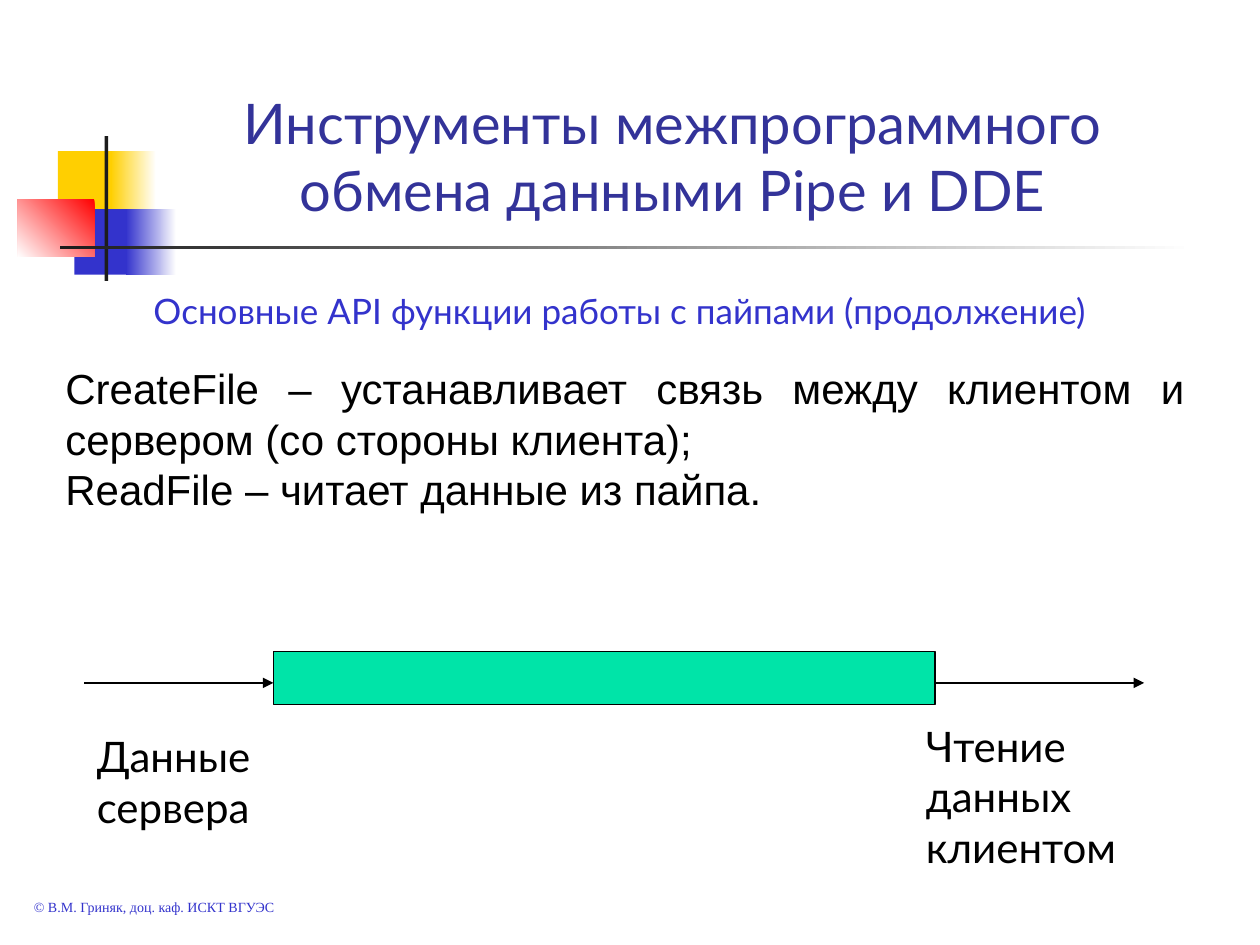
from lxml import etree
from pptx import Presentation
from pptx.dml.color import RGBColor
from pptx.enum import shapes, text
from pptx.oxml.ns import qn
from pptx.util import Inches, Pt

COLORS = {"yellow": "FFCF01", "blue": "3333CC", "red": "FF0000", "white": "FFFFFF",
          "dark": "1C1C1C", "title": "333399", "black": "000000", "pipe": "00E4A8"}
ALIGN = text.PP_ALIGN


def rgb(name):
    """Return the named colour."""
    return RGBColor.from_string(COLORS[name])


def add_block(s, box, fill, fade_to=None, angle=180, outlined=False):
    """Add a rectangle, solid or fading between two colours."""
    sp = s.shapes.add_shape(shapes.MSO_SHAPE.RECTANGLE, *map(Inches, box))
    sp.shadow.inherit = False
    if fade_to:
        sp.fill.gradient()
        sp.fill.gradient_angle = angle
        for stop, name in zip(sp.fill.gradient_stops, (fill, fade_to)):
            stop.color.rgb = rgb(name)
    else:
        sp.fill.solid()
        sp.fill.fore_color.rgb = rgb(fill)
    if outlined:
        sp.line.color.rgb = rgb("black")
        sp.line.width = Pt(0.75)
    else:
        sp.line.fill.background()


def add_text(s, box, lines, size, color="black", font="Lato", align=ALIGN.LEFT,
             anchor=text.MSO_ANCHOR.TOP):
    """Add a wrapped text box with one paragraph per line."""
    tf = s.shapes.add_textbox(*map(Inches, box)).text_frame
    tf.word_wrap = True
    tf.vertical_anchor = anchor
    tf.text = "\n".join(lines)
    for p in tf.paragraphs:
        p.alignment = align
        p.font.size = Pt(size)
        p.font.name = font
        p.font.color.rgb = rgb(color)


def add_arrow(s, x1, x2, y):
    """Add a horizontal arrow pointing right."""
    c = s.shapes.add_connector(shapes.MSO_CONNECTOR.STRAIGHT,
                               Inches(x1), Inches(y), Inches(x2), Inches(y))
    c.line.color.rgb = rgb("black")
    c.line.width = Pt(0.75)
    etree.SubElement(c.line._get_or_add_ln(), qn("a:tailEnd"), type="triangle")
    etree.SubElement(c._element.spPr, qn("a:effectLst"))


def add_ornament(s, x, y, width):
    """Draw the coloured squares and crossed bars beside the title."""
    add_block(s, (x + 0.32, y + 0.12, 0.48, 0.52), "yellow")
    add_block(s, (x + 0.74, y + 0.12, 0.36, 0.52), "white", "yellow")
    add_block(s, (x + 0.45, y + 0.58, 0.46, 0.52), "blue")
    add_block(s, (x + 0.86, y + 0.58, 0.4, 0.52), "white", "blue")
    add_block(s, (x, y + 0.5, 0.61, 0.46), "red", "white", angle=225)
    add_block(s, (x + 0.69, y, 0.03, 1.15), "dark")
    add_block(s, (x + 0.34, y + 0.87, width - 0.34, 0.03), "white", "dark")


def add_pipe_diagram(s, x, y, width):
    """Draw the pipe with its incoming and outgoing data."""
    left, right, axis = x + 1.5, x + 6.75, y + 0.25
    add_block(s, (left, y, right - left, 0.42), "pipe", outlined=True)
    add_arrow(s, x, left, axis)
    add_arrow(s, right, x + width, axis)
    add_text(s, (x, y + 0.58, 1.5, 1.3), ["Данные сервера"], 24)
    add_text(s, (x + 6.58, y + 0.5, 1.92, 1.3), ["Чтение данных клиентом"], 24)


def build_slide(prs):
    """Add the slide on pipe functions."""
    s = prs.slides.add_slide(prs.slide_layouts[6])
    add_ornament(s, 0.14, 1.08, 9.34)
    add_text(s, (1.08, 0.58, 8.52, 1.24),
             ["Инструменты межпрограммного обмена данными Pipe и DDE"], 32, "title",
             align=ALIGN.CENTER, anchor=text.MSO_ANCHOR.BOTTOM)
    add_text(s, (0.33, 2.25, 9.25, 0.44),
             ["Основные API функции работы с пайпами (продолжение) "], 20, "blue",
             align=ALIGN.CENTER)
    add_text(s, (0.42, 2.83, 9.08, 1.3),
             ["CreateFile – устанавливает связь между клиентом и сервером "
              "(со стороны клиента);",
              "ReadFile – читает данные из пайпа."], 24, font="Arial",
             align=ALIGN.JUSTIFY)
    add_pipe_diagram(s, 0.67, 5.17, 8.41)
    add_text(s, (0.17, 7.08, 2.67, 0.24), ["© В.М. Гриняк, доц. каф. ИСКТ ВГУЭС"], 8,
             "blue", "Times New Roman")


def main():
    """Build and save the presentation."""
    prs = Presentation()
    prs.slide_width, prs.slide_height = Inches(10), Inches(7.5)
    build_slide(prs)
    prs.save("out.pptx")


if __name__ == "__main__":
    main()
